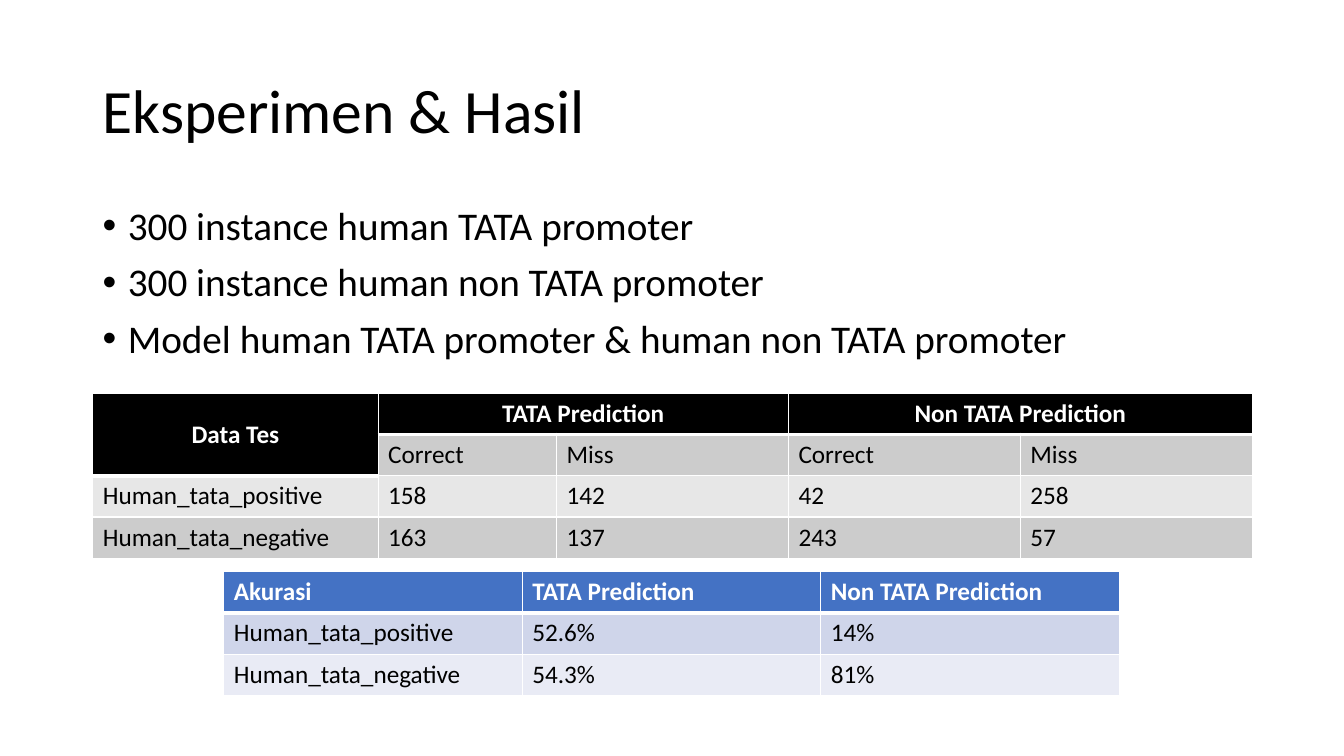
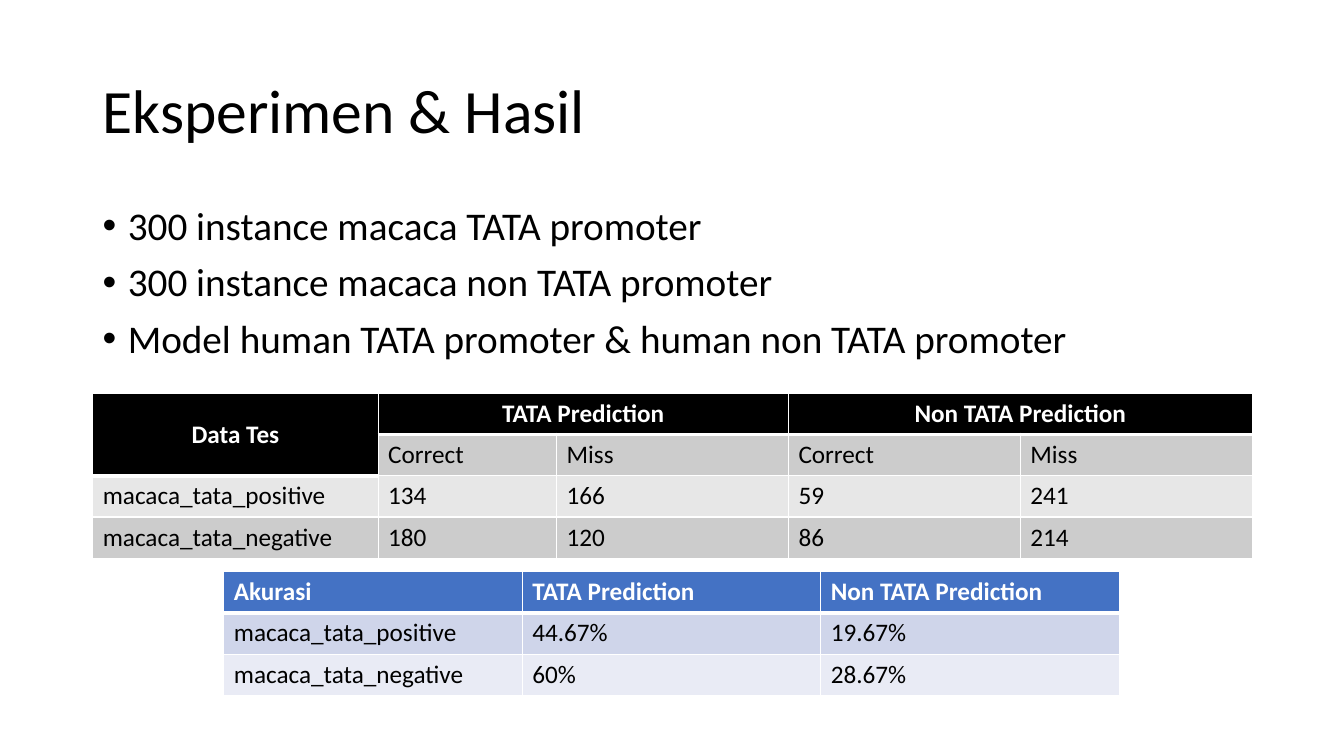
import pptx
import pptx.util
import pptx.dml.color
import pptx.enum.text
import pptx.oxml
import pptx.oxml.ns
import lxml.etree

Inches = pptx.util.Inches
Pt = pptx.util.Pt
ALIGN = pptx.enum.text.PP_ALIGN
ANCHOR = pptx.enum.text.MSO_ANCHOR
COLORS = {
    "black": "000000", "white": "FFFFFF", "blue": "4472C4",
    "gray": "CCCCCC", "pale": "E7E7E7", "sky": "CFD5EA", "mist": "E9EBF5",
}
LEFT, WIDTH, ROW = 0.92, 11.5, 0.41


def color(name):
    """Return the named colour."""
    return pptx.dml.color.RGBColor.from_string(COLORS[name])


class Deck:
    """Hold the shared style and the current slide."""

    def __init__(self):
        """Start an empty wide deck."""
        self.show = pptx.Presentation()
        self.show.slide_width = Inches(13.33)
        self.show.slide_height = Inches(7.5)
        self.slide = None

    def page(self):
        """Add a blank slide and make it current."""
        self.slide = self.show.slides.add_slide(self.show.slide_layouts[6])

    def style(self, para, size, tint="black", bold=False):
        """Format every run of a paragraph."""
        for run in para.runs:
            run.font.name = "Calibri"
            run.font.size = Pt(size)
            run.font.bold = bold
            run.font.color.rgb = color(tint)

    def text(self, top, height, words, size):
        """Add a text box across the content width."""
        box = self.slide.shapes.add_textbox(
            Inches(LEFT), Inches(top), Inches(WIDTH), Inches(height))
        frame = box.text_frame
        frame.word_wrap = True
        frame.text = words
        for para in frame.paragraphs:
            para.line_spacing = 0.9
            self.style(para, size)
        return frame

    def title(self, words):
        """Add the slide title."""
        self.text(0.4, 1.45, words, 44).vertical_anchor = ANCHOR.MIDDLE

    def list(self, items):
        """Add the bulleted list."""
        for para in self.text(2, 1.75, "\n".join(items), 28).paragraphs:
            para.space_before = Pt(10)
            props = para._p.get_or_add_pPr()
            props.set("marL", str(Inches(0.25)))
            props.set("indent", str(Inches(-0.25)))
            for tag, key, value in (("a:buFont", "typeface", "Arial"),
                                    ("a:buChar", "char", "•")):
                lxml.etree.SubElement(props, pptx.oxml.ns.qn(tag)).set(key, value)

    def edge(self, cell, row):
        """Draw white cell borders, heavy under the head row."""
        props = cell._tc.get_or_add_tcPr()
        heavy = {0: "B", 1: "T"}.get(row)
        for side in "LRTB":
            width = Pt(3 if side == heavy else 1)
            props.append(pptx.oxml.parse_xml(
                f'<a:ln{side} {pptx.oxml.ns.nsdecls("a")} w="{width}">'
                f'<a:solidFill><a:srgbClr val="{COLORS["white"]}"/></a:solidFill>'
                f'</a:ln{side}>'))

    def table(self, left, top, widths, rows, head, bands):
        """Add a table with a head row and alternating bands."""
        grid = self.slide.shapes.add_table(
            len(rows), len(widths), Inches(left), Inches(top),
            Inches(sum(widths)), Inches(ROW * len(rows))).table
        grid.first_row = grid.horz_banding = False
        for col, width in zip(grid.columns, widths):
            col.width = Inches(width)
        for r, row in enumerate(rows):
            grid.rows[r].height = Inches(ROW)
            for c, words in enumerate(row):
                cell = grid.cell(r, c)
                cell.text = words
                self.style(cell.text_frame.paragraphs[0], 18,
                           "black" if r else "white", r == 0)
                self.edge(cell, r)
                cell.fill.solid()
                cell.fill.fore_color.rgb = color(bands[(r - 1) % 2] if r else head)
        return grid

    def counts(self, rows):
        """Add the table of correct and missed predictions."""
        top = ["Data Tes", "TATA Prediction", "", "Non TATA Prediction", ""]
        sub = [""] + ["Correct", "Miss"] * 2
        grid = self.table(LEFT, 3.9, [2.83, 1.77] + [2.3] * 3,
                          [top, sub] + rows, "black", ["gray", "pale"])
        for first, last in (((0, 0), (1, 0)), ((0, 1), (0, 2)), ((0, 3), (0, 4))):
            cell = grid.cell(*first)
            cell.merge(grid.cell(*last))
            cell.text_frame.paragraphs[0].alignment = ALIGN.CENTER
        grid.cell(0, 0).vertical_anchor = ANCHOR.MIDDLE

    def rates(self, rows):
        """Add the accuracy table."""
        top = ["Akurasi", "TATA Prediction", "Non TATA Prediction"]
        self.table(2.22, 5.67, [2.96] * 3, [top] + rows, "blue", ["sky", "mist"])


RESULTS = [
    ("human", "Human",
     [["158", "142", "42", "258"], ["163", "137", "243", "57"]],
     [["52.6%", "14%"], ["54.3%", "81%"]]),
    ("macaca", "macaca",
     [["134", "166", "59", "241"], ["180", "120", "86", "214"]],
     [["44.67%", "19.67%"], ["60%", "28.67%"]]),
]

deck = Deck()
for kind, label, counts, rates in RESULTS:
    names = [f"{label}_tata_{sign}" for sign in ("positive", "negative")]
    deck.page()
    deck.title("Eksperimen & Hasil")
    deck.list([f"300 instance {kind} TATA promoter",
               f"300 instance {kind} non TATA promoter",
               "Model human TATA promoter & human non TATA promoter"])
    deck.counts([[name] + row for name, row in zip(names, counts)])
    deck.rates([[name] + row for name, row in zip(names, rates)])
deck.show.save("out.pptx")
